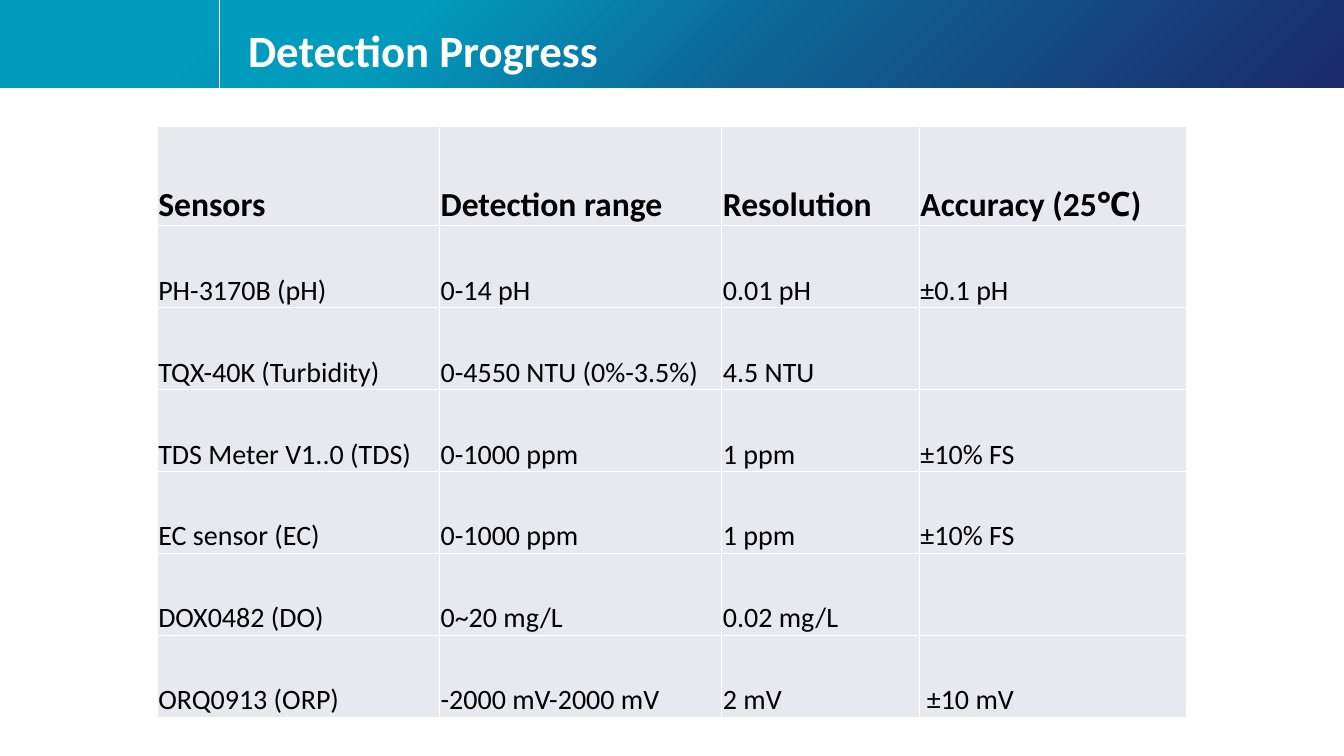
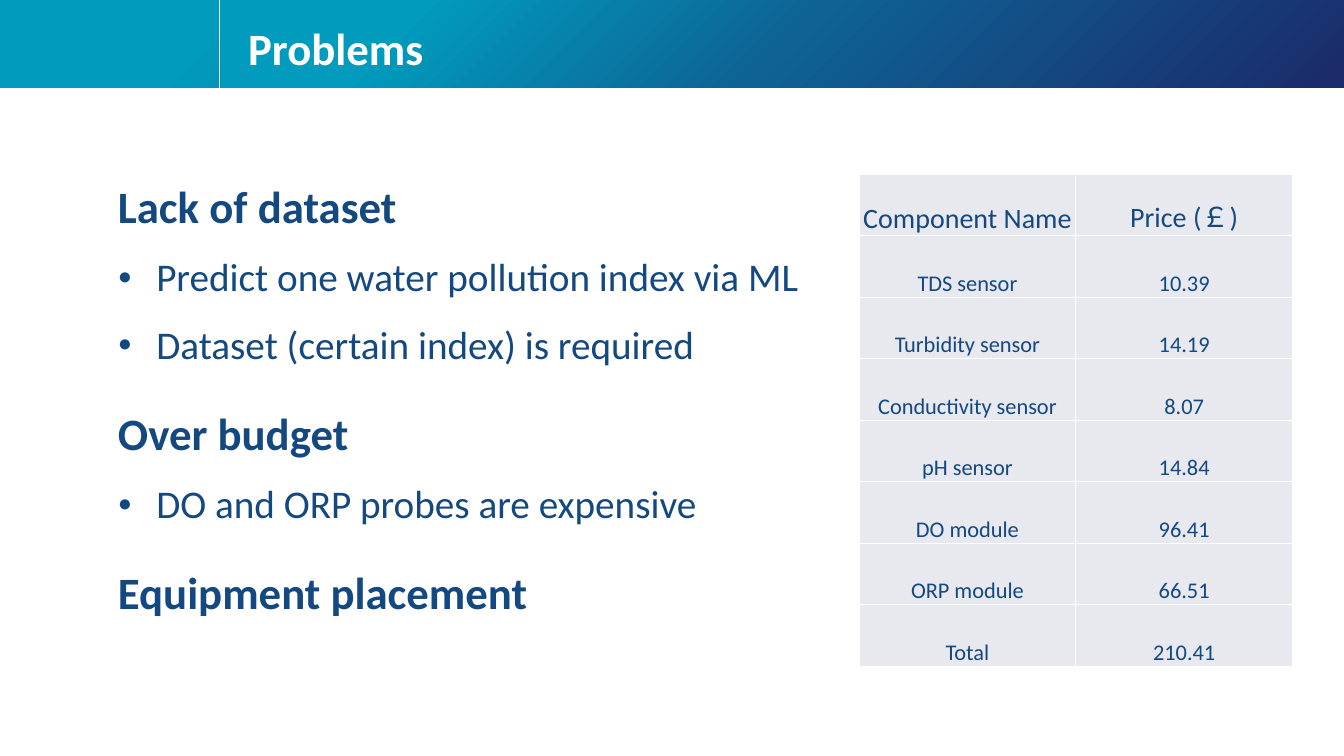
from copy import deepcopy
from dataclasses import dataclass

from lxml.etree import SubElement
from pptx import Presentation
from pptx.dml.color import RGBColor
from pptx.enum.shapes import MSO_CONNECTOR as CONN, MSO_SHAPE as SHAPE
from pptx.enum.text import MSO_ANCHOR as ANCHOR, MSO_AUTO_SIZE as AUTO, PP_ALIGN as ALIGN
from pptx.oxml.ns import qn
from pptx.presentation import Presentation as Deck
from pptx.slide import Slide
from pptx.text.text import TextFrame, _Paragraph as Para
from pptx.util import Emu, Pt

PX = 9144  # 100 px to the inch
FONT = "Calibri"
WHITE, BLACK, NAVY, CELL = "FFFFFF", "000000", "144880", "E7E9EF"
GRADIENT = ((0.17, "009BBD"), (0.5, "0E6394"), (1, "1B2A6B"))
TITLE_ONLY, TITLE_BODY = 5, 1


@dataclass
class Box:
    x: int
    y: int
    w: int
    h: int

    def emu(self) -> tuple[Emu, ...]:
        return tuple(px(v) for v in (self.x, self.y, self.w, self.h))


@dataclass
class Item:
    text: str
    bullet: bool = False
    after: int = 6
    align: ALIGN = ALIGN.JUSTIFY


@dataclass
class TableStyle:
    head_h: int
    head_size: int
    body_size: int
    color: str
    align: ALIGN
    bold_head: bool = False


SENSORS = (
    ("Sensors", "Detection range", "Resolution", "Accuracy (25℃)"),
    ("PH-3170B (pH)", "0-14 pH", "0.01 pH", "±0.1 pH"),
    ("TQX-40K (Turbidity)", "0-4550 NTU (0%-3.5%)", "4.5 NTU", ""),
    ("TDS Meter V1..0 (TDS)", "0-1000 ppm", "1 ppm", "±10% FS"),
    ("EC sensor (EC)", "0-1000 ppm", "1 ppm", "±10% FS"),
    ("DOX0482 (DO)", "0~20 mg/L", "0.02 mg/L", ""),
    ("ORQ0913 (ORP)", "-2000 mV-2000 mV", "2 mV", " ±10 mV"),
)
PRICES = (
    ("Component Name", "Price (￡)"),
    ("TDS sensor", "10.39"),
    ("Turbidity sensor", "14.19"),
    ("Conductivity sensor", "8.07"),
    ("pH sensor", "14.84"),
    ("DO module", "96.41"),
    ("ORP module", "66.51"),
    ("Total", "210.41"),
)
PROBLEMS = (
    Item("Lack of dataset", align=ALIGN.LEFT),
    Item("Predict one water pollution index via ML", bullet=True),
    Item("Dataset (certain index) is required", bullet=True, after=18),
    Item("Over budget"),
    Item("DO and ORP probes are expensive", bullet=True, after=18),
    Item("Equipment placement"),
)


def px(n: float) -> Emu:
    return Emu(round(n * PX))


def rgb(color: str) -> RGBColor:
    return RGBColor.from_string(color)


def style_runs(p: Para, size: int, color: str, bold: bool) -> None:
    for r in p.runs:
        r.font.name, r.font.size, r.font.bold = FONT, Pt(size), bold
        r.font.color.rgb = rgb(color)


# Shared header band
def add_band(s: Slide, box: Box):
    sp = s.shapes.add_shape(SHAPE.RECTANGLE, *box.emu())
    sp.shadow.inherit = False
    sp.line.fill.background()
    sp.fill.gradient()
    sp.fill.gradient_angle = 315
    stops = sp.element.find(".//" + qn("a:gsLst"))
    stops.append(deepcopy(stops[0]))
    for stop, (pos, color) in zip(sp.fill.gradient_stops, GRADIENT):
        stop.position = pos
        stop.color.rgb = rgb(color)
    return sp


def add_divider(s: Slide, x: int, height: int):
    line = s.shapes.add_connector(CONN.STRAIGHT, px(x), 0, px(x), px(height))
    line.line.color.rgb = rgb(WHITE)
    line.line.width = Pt(0.5)
    SubElement(line.element.spPr, qn("a:effectLst"))
    return line


def build_master(prs: Deck, s: Slide) -> None:
    """Draw the header on a slide and move it behind the master's placeholders."""
    header = (
        add_band(s, Box(-1, 0, 1334, 87)),
        add_band(s, Box(219, 0, 1114, 87)),
        add_divider(s, 218, 98),
    )
    tree = prs.slide_master.shapes.element
    for i, shape in enumerate(header):
        shape.element.find(".//" + qn("p:cNvPr")).set("id", str(101 + i))
        tree.insert(2 + i, shape.element)


# Placeholders
def place(shape, box: Box) -> TextFrame:
    shape.left, shape.top, shape.width, shape.height = box.emu()
    tf = shape.text_frame
    tf.word_wrap = True
    return tf


def set_title(s: Slide, text: str, box: Box) -> None:
    tf = place(s.shapes.title, box)
    tf.text = text
    tf.auto_size = AUTO.NONE
    tf.vertical_anchor = ANCHOR.MIDDLE
    p = tf.paragraphs[0]
    p.alignment, p.line_spacing = ALIGN.LEFT, 0.9
    style_runs(p, 32, WHITE, True)


def set_bullet(p: Para, bullet: bool) -> None:
    ppr = p._p.get_or_add_pPr()
    indent = px(38) if bullet else 0
    ppr.set("marL", str(indent))
    ppr.set("indent", str(-indent))
    if bullet:
        SubElement(ppr, qn("a:buSzPct"), val="60000")
        SubElement(ppr, qn("a:buChar"), char="●")
    else:
        SubElement(ppr, qn("a:buNone"))


def set_list(s: Slide, items: tuple[Item, ...], box: Box) -> None:
    tf = place(s.placeholders[1], box)
    tf.auto_size = AUTO.SHAPE_TO_FIT_TEXT
    tf.vertical_anchor = ANCHOR.TOP
    tf.text = "\n".join(item.text for item in items)
    for p, item in zip(tf.paragraphs, items):
        p.alignment, p.line_spacing = item.align, 1.25
        p.space_before, p.space_after = Pt(0), Pt(item.after)
        set_bullet(p, item.bullet)
        style_runs(p, 28 if item.bullet else 32, NAVY, not item.bullet)


# Tables
def set_borders(cell) -> None:
    tcpr = cell._tc.get_or_add_tcPr()
    for i, side in enumerate(("lnL", "lnR", "lnT", "lnB")):
        ln = SubElement(tcpr, qn(f"a:{side}"), w=str(Pt(1)))
        SubElement(SubElement(ln, qn("a:solidFill")), qn("a:srgbClr"), val=WHITE)
        tcpr.insert(i, ln)


def add_table(s: Slide, rows: tuple[tuple[str, ...], ...], cols: tuple[int, ...],
              box: Box, style: TableStyle) -> None:
    table = s.shapes.add_table(len(rows), len(cols), *box.emu()).table
    table.first_row = table.horz_banding = False
    for col, width in zip(table.columns, cols):
        col.width = px(width)
    body_h = (box.h - style.head_h) / (len(rows) - 1)
    for i, values in enumerate(rows):
        head = i == 0
        table.rows[i].height = px(style.head_h if head else body_h)
        for j, value in enumerate(values):
            cell = table.cell(i, j)
            cell.text = value
            cell.vertical_anchor = ANCHOR.BOTTOM
            cell.margin_left = cell.margin_right = cell.margin_top = px(1)
            cell.margin_bottom = 0
            cell.fill.solid()
            cell.fill.fore_color.rgb = rgb(CELL)
            set_borders(cell)
            p = cell.text_frame.paragraphs[0]
            p.alignment = style.align
            size = style.head_size if head else style.body_size
            style_runs(p, size, style.color, head and style.bold_head)


# Slides
def build_progress(s: Slide) -> None:
    set_title(s, "Detection Progress", Box(236, 15, 376, 76))
    add_table(s, SENSORS, (280, 280, 196, 265), Box(156, 125, 1020, 587),
              TableStyle(99, 24, 20, BLACK, ALIGN.LEFT, bold_head=True))


def build_problems(s: Slide) -> None:
    set_title(s, "Problems", Box(236, 13, 489, 76))
    set_list(s, PROBLEMS, Box(107, 159, 726, 460))
    add_table(s, PRICES, (215, 215), Box(852, 173, 431, 488),
              TableStyle(61, 20, 16, NAVY, ALIGN.CENTER))


def main() -> None:
    prs = Presentation()
    prs.slide_width, prs.slide_height = px(1333), px(750)
    progress = prs.slides.add_slide(prs.slide_layouts[TITLE_ONLY])
    build_master(prs, progress)
    build_progress(progress)
    build_problems(prs.slides.add_slide(prs.slide_layouts[TITLE_BODY]))
    prs.save("out.pptx")


if __name__ == "__main__":
    main()
